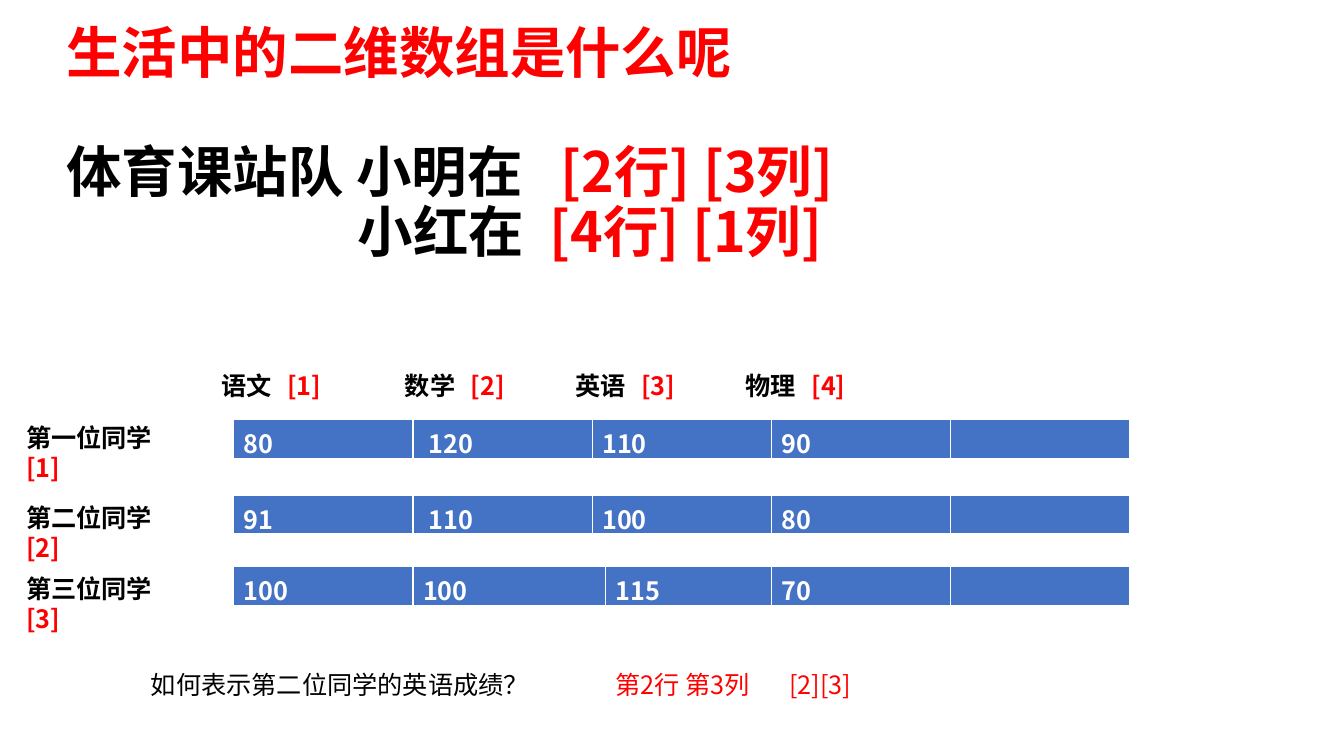
from lxml.etree import SubElement
from pptx import Presentation
from pptx.dml.color import RGBColor
from pptx.enum.text import MSO_ANCHOR, MSO_AUTO_SIZE, PP_ALIGN
from pptx.oxml.ns import qn
from pptx.util import Pt

FONT = "Noto Sans CJK SC"
BLACK = RGBColor(0, 0, 0)
RED = RGBColor(255, 0, 0)
WHITE = RGBColor(255, 255, 255)
BLUE = RGBColor(0x44, 0x72, 0xC4)

TITLE_LINE = 42.5
TEXT_LINE = 21.4
TABLE_LEFT = 167
COLUMN = 128
EVEN_COLUMNS = [COLUMN] * 5
SHIFTED_COLUMNS = [COLUMN, 137.5, 118.5, COLUMN, COLUMN]

SUBJECTS = [("语文", 151.2), ("数学", 282.2), ("英语", 403.9), ("物理", 525.6)]
# name, label top, table top, column widths, scores
STUDENTS = [
    ("第一位同学", 298, 299.5, EVEN_COLUMNS, ["80", " 120", "110", "90", ""]),
    ("第二位同学", 355.5, 353.5, EVEN_COLUMNS, ["91", " 110", "100", "80", ""]),
    ("第三位同学", 406, 404.6, SHIFTED_COLUMNS, ["100", "100", "115", "70", ""]),
]


def set_tabs(p, stops):
    tabs = SubElement(p._p.get_or_add_pPr(), qn("a:tabLst"))
    for stop in stops:
        SubElement(tabs, qn("a:tab"), pos=str(Pt(stop)), algn="l")


def set_font(p, size, bold):
    p.font.name = FONT
    p.font.size = Pt(size)
    p.font.bold = bold
    def_rpr = p._p.pPr.find(qn("a:defRPr"))
    SubElement(def_rpr, qn("a:ea"), typeface=FONT)


def fill_paragraph(p, runs, size, line, bold=True, tabs=()):
    """Write (text, colour) runs with exact line spacing."""
    if tabs:
        set_tabs(p, tabs)
    p.line_spacing = Pt(line)
    set_font(p, size, bold)
    for text, color in runs:
        r = p.add_run()
        r.text = text
        r.font.color.rgb = color


def add_title(s):
    title = s.shapes.title
    title.left, title.top, title.width, title.height = Pt(40.3), Pt(14.6), Pt(828), Pt(178)
    tf = title.text_frame
    tf.auto_size = MSO_AUTO_SIZE.NONE
    tf.vertical_anchor = MSO_ANCHOR.TOP
    lines = [
        ([("生活中的二维数组是什么呢", RED)], (), 0),
        ([("体育课站队 小明在\t", BLACK), ("[2行] [3列]", RED)], (353,), TITLE_LINE),
        ([("\t小红在\t", BLACK), ("[4行] [1列]", RED)], (208, 345), 0),
    ]
    for i, (runs, tabs, before) in enumerate(lines):
        p = tf.add_paragraph() if i else tf.paragraphs[0]
        fill_paragraph(p, runs, 39.6, TITLE_LINE, tabs=tabs)
        p.alignment = PP_ALIGN.LEFT
        p.space_before = Pt(before)


def add_text(s, left, top, width, paragraphs, bold=True, tabs=()):
    height = TEXT_LINE * len(paragraphs) + 7.2
    tf = s.shapes.add_textbox(Pt(left), Pt(top), Pt(width), Pt(height)).text_frame
    tf.word_wrap = True
    for i, runs in enumerate(paragraphs):
        p = tf.add_paragraph() if i else tf.paragraphs[0]
        fill_paragraph(p, runs, 18, TEXT_LINE, bold, tabs)


def set_borders(cell):
    tc_pr = cell._tc.get_or_add_tcPr()
    for i, (side, width) in enumerate([("L", 1), ("R", 1), ("T", 1), ("B", 3)]):
        ln = tc_pr.makeelement(qn(f"a:ln{side}"), {"w": str(Pt(width))})
        fill = SubElement(ln, qn("a:solidFill"))
        SubElement(fill, qn("a:srgbClr"), val=str(WHITE))
        tc_pr.insert(i, ln)


def add_score_row(s, top, widths, scores):
    frame = s.shapes.add_table(1, len(scores), Pt(TABLE_LEFT), Pt(top), Pt(sum(widths)), Pt(28.8))
    table = frame.table
    for column, width in zip(table.columns, widths):
        column.width = Pt(width)
    for cell, score in zip(table.rows[0].cells, scores):
        cell.text = score
        p = cell.text_frame.paragraphs[0]
        set_font(p, 18, True)
        p.font.color.rgb = WHITE
        cell.fill.solid()
        cell.fill.fore_color.rgb = BLUE
        set_borders(cell)


def main():
    prs = Presentation()
    prs.slide_width, prs.slide_height = Pt(960), Pt(540)
    s = prs.slides.add_slide(prs.slide_layouts[5])
    add_title(s)
    for i, (subject, left) in enumerate(SUBJECTS, 1):
        add_text(s, left, 261.3, 100, [[(f"{subject}\t", BLACK), (f"[{i}]", RED)]], tabs=(47,))
    for i, (name, label_top, table_top, widths, scores) in enumerate(STUDENTS, 1):
        add_score_row(s, table_top, widths, scores)
        add_text(s, 11.5, label_top, 140.4, [[(name, BLACK)], [(f"[{i}]", RED)]])
    add_text(s, 100.8, 475, 324, [[("如何表示第二位同学的英语成绩？", BLACK)]], bold=False)
    add_text(s, 432.7, 475, 320, [[("第2行 第3列\t[2][3]", RED)]], bold=False, tabs=(124,))
    prs.save("out.pptx")


if __name__ == "__main__":
    main()
